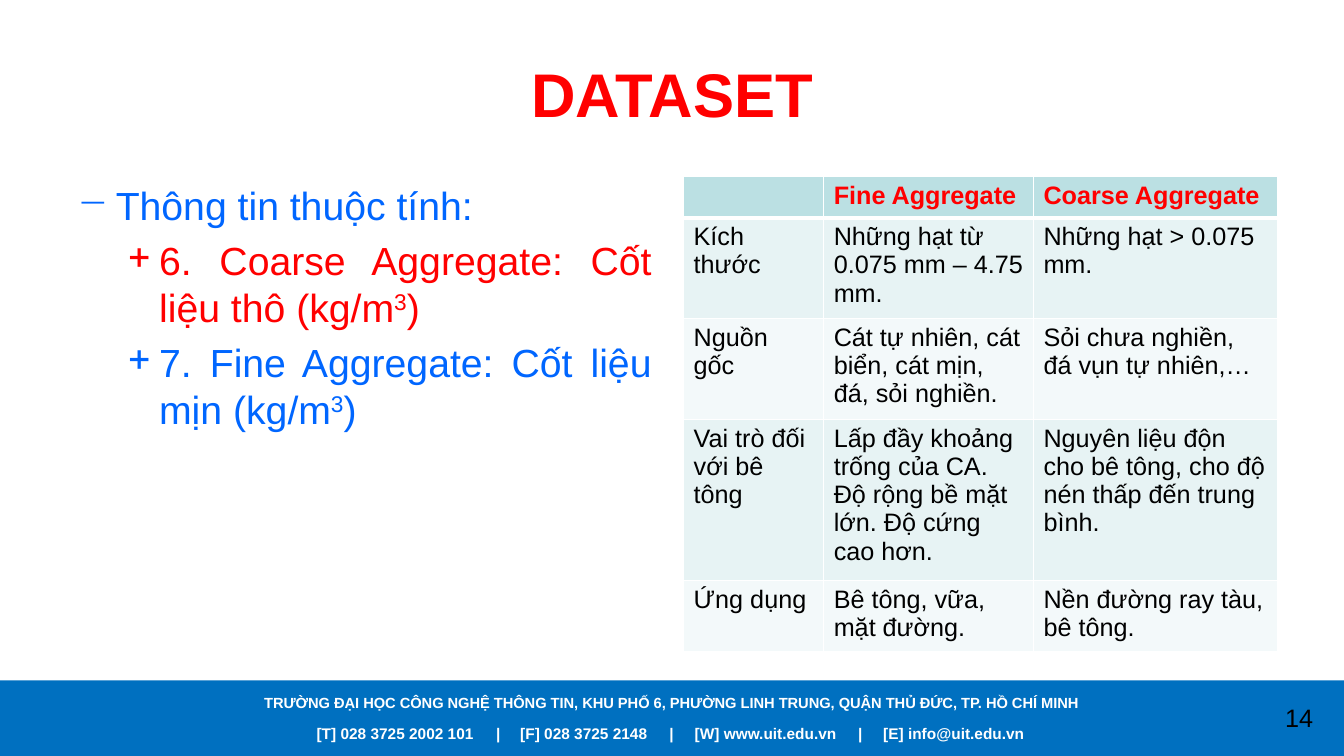
"""Build the dataset slide comparing fine and coarse aggregate."""
from lxml.etree import SubElement
from pptx import Presentation
from pptx.dml.color import RGBColor
from pptx.enum.shapes import MSO_SHAPE
from pptx.enum.text import MSO_ANCHOR, PP_ALIGN
from pptx.oxml.ns import qn
from pptx.util import Inches, Pt

WHITE = RGBColor(0xFF, 0xFF, 0xFF)
BLACK = RGBColor(0x00, 0x00, 0x00)
RED = RGBColor(0xFF, 0x00, 0x00)
BLUE = RGBColor(0x00, 0x66, 0xFF)
FOOTER_BLUE = RGBColor(0x00, 0x70, 0xC0)
HEADER_FILL = RGBColor(0xBB, 0xE0, 0xE3)
BAND_FILLS = [RGBColor(0xF3, 0xF9, 0xFA), RGBColor(0xE7, 0xF3, 0xF4)]


def style(paragraph, size, color, bold=False, align=PP_ALIGN.LEFT):
    paragraph.alignment = align
    paragraph.font.name = "Arial"
    paragraph.font.size = Pt(size)
    paragraph.font.bold = bold
    paragraph.font.color.rgb = color


def add_box(left, top, width, height, text=""):
    box = slide.shapes.add_textbox(Inches(left), Inches(top), Inches(width), Inches(height))
    box.text_frame.word_wrap = True
    box.text_frame.text = text
    return box.text_frame


presentation = Presentation()
presentation.slide_width = Inches(13.33)
presentation.slide_height = Inches(7.5)
slide = presentation.slides.add_slide(presentation.slide_layouts[6])

footer = slide.shapes.add_shape(
    MSO_SHAPE.RECTANGLE, Inches(0), Inches(6.75), Inches(13.33), Inches(0.75))
footer.shadow.inherit = False
footer.fill.solid()
footer.fill.fore_color.rgb = FOOTER_BLUE
footer.line.fill.background()

address = add_box(
    0, 6.83, 13.33, 0.28,
    "TRƯỜNG ĐẠI HỌC CÔNG NGHỆ THÔNG TIN, KHU PHỐ 6, PHƯỜNG LINH TRUNG, "
    "QUẬN THỦ ĐỨC, TP. HỒ CHÍ MINH")
style(address.paragraphs[0], 10.5, WHITE, True, PP_ALIGN.CENTER)

contacts = add_box(
    1.56, 7.13, 10.22, 0.29,
    "[T] 028 3725 2002 101\t|\t[F] 028 3725 2148\t|\t[W] www.uit.edu.vn\t|\t[E] info@uit.edu.vn")
contacts.margin_left = Inches(1.58)
tab_list = SubElement(contacts.paragraphs[0]._p.get_or_add_pPr(), qn("a:tabLst"))
for position in [1.78, 2.02, 3.5, 3.75, 5.37, 5.62]:
    SubElement(tab_list, qn("a:tab"), pos=str(Inches(position)), algn="l")
style(contacts.paragraphs[0], 11, WHITE, True)

page_number = add_box(12.44, 6.92, 0.89, 0.4, "14")
style(page_number.paragraphs[0], 18, BLACK, align=PP_ALIGN.CENTER)

title = add_box(0.67, 0.3, 12, 1.25, "DATASET")
title.vertical_anchor = MSO_ANCHOR.MIDDLE
style(title.paragraphs[0], 44, RED, True, PP_ALIGN.CENTER)

body = add_box(0.67, 1.75, 5.89, 4.95)
attributes = [
    (0, "─", 0.38, 0.38, BLUE, ["Thông tin thuộc tính:"]),
    (1, "+", 0.81, 0.31, RED, ["6. Coarse Aggregate: Cốt liệu thô (kg/m", "3", ")"]),
    (1, "+", 0.81, 0.31, BLUE, ["7. Fine Aggregate: Cốt liệu mịn (kg/m", "3", ")"]),
]
for index, (level, bullet, margin, hanging, color, parts) in enumerate(attributes):
    paragraph = body.add_paragraph() if index else body.paragraphs[0]
    paragraph.level = level
    if index:
        paragraph.space_before = Pt(5.6)
    properties = paragraph._p.get_or_add_pPr()
    properties.set("marL", str(Inches(margin)))
    properties.set("indent", str(-Inches(hanging)))
    SubElement(properties, qn("a:buChar"), char=bullet)
    style(paragraph, 28, color, align=PP_ALIGN.JUSTIFY)
    for part in parts:
        run = paragraph.add_run()
        run.text = part
        if part == "3":
            run.font._element.set("baseline", "30000")

rows = [
    ["", "Fine Aggregate", "Coarse Aggregate"],
    ["Kích thước", "Những hạt từ 0.075 mm – 4.75 mm.", "Những hạt > 0.075 mm."],
    ["Nguồn gốc", "Cát tự nhiên, cát biển, cát mịn, đá, sỏi nghiền.",
     "Sỏi chưa nghiền, đá vụn tự nhiên,…"],
    ["Vai trò đối với bê tông",
     "Lấp đầy khoảng trống của CA. Độ rộng bề mặt lớn. Độ cứng cao hơn.",
     "Nguyên liệu độn cho bê tông, cho độ nén thấp đến trung bình."],
    ["Ứng dụng", "Bê tông, vữa, mặt đường.", "Nền đường ray tàu, bê tông."],
]
row_heights = [0.41, 0.94, 0.94, 1.5, 0.66]
table = slide.shapes.add_table(
    len(rows), 3, Inches(6.78), Inches(1.75), Inches(5.89), Inches(sum(row_heights))).table
for column, width in zip(table.columns, [1.39, 2.08, 2.42]):
    column.width = Inches(width)
for row_index, texts in enumerate(rows):
    table.rows[row_index].height = Inches(row_heights[row_index])
    is_header = row_index == 0
    for column_index, text in enumerate(texts):
        cell = table.cell(row_index, column_index)
        cell.text = text
        style(cell.text_frame.paragraphs[0], 18, RED if is_header else BLACK, is_header)
        cell_properties = cell._tc.get_or_add_tcPr()
        for side in ["lnL", "lnR", "lnT", "lnB"]:
            thick = (row_index, side) in [(0, "lnB"), (1, "lnT")]
            border = SubElement(cell_properties, qn(f"a:{side}"), w=str(Pt(3 if thick else 1)))
            SubElement(SubElement(border, qn("a:solidFill")), qn("a:srgbClr"), val=str(WHITE))
        cell.fill.solid()
        cell.fill.fore_color.rgb = HEADER_FILL if is_header else BAND_FILLS[row_index % 2]

presentation.save("out.pptx")
